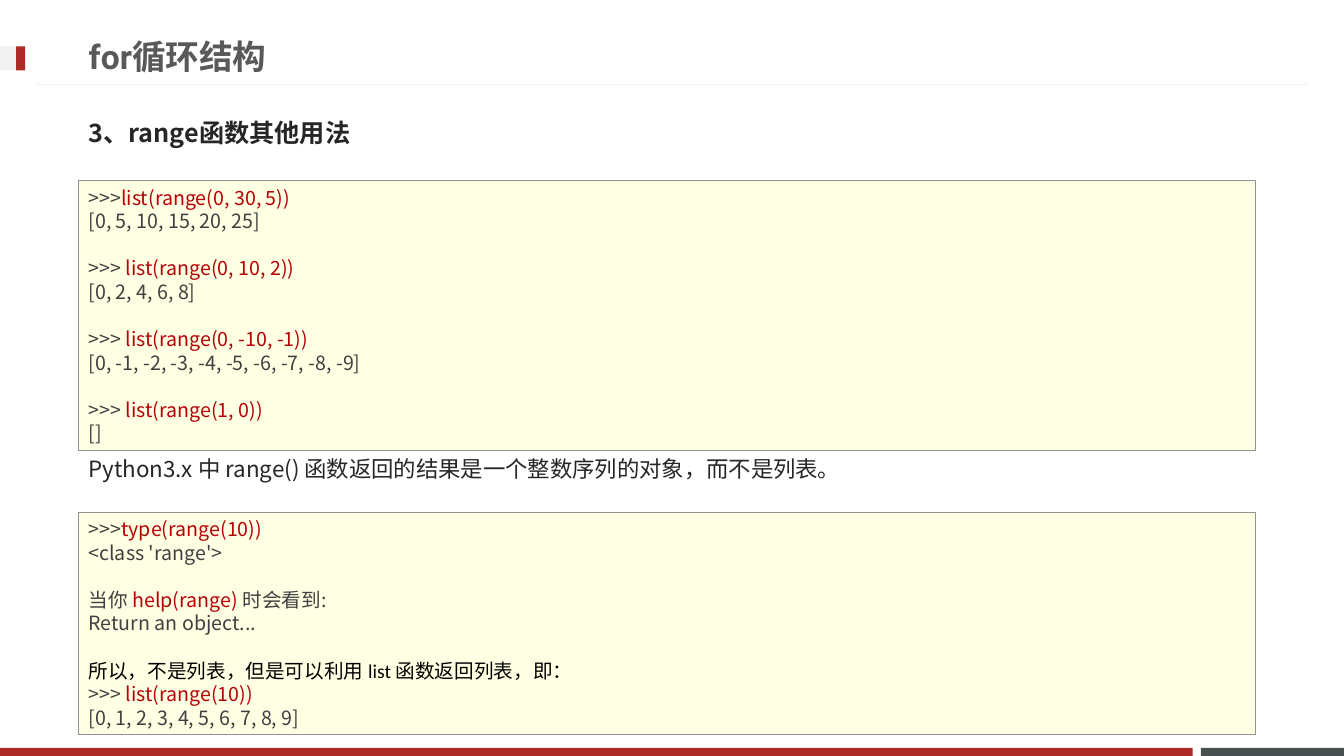
from lxml import etree
from pptx import Presentation
from pptx.dml.color import RGBColor
from pptx.enum.shapes import MSO_CONNECTOR, MSO_SHAPE
from pptx.enum.text import MSO_ANCHOR, PP_ALIGN
from pptx.oxml.ns import qn
from pptx.util import Inches, Pt

RECT = MSO_SHAPE.RECTANGLE
STRAIGHT = MSO_CONNECTOR.STRAIGHT
MIDDLE, TOP = MSO_ANCHOR.MIDDLE, MSO_ANCHOR.TOP
LEFT = PP_ALIGN.LEFT

COLOURS = {
    "red": "AD2B26", "slate": "49504F", "pale": "F2F2F2",
    "title": "595959", "body": "262626", "plain": "404040",
    "code": "B60206", "black": "000000",
    "panel": "FFFFE4", "border": "919191",
}
CJK, LATIN, NOTE = "Noto Sans CJK JP", "Roboto", "Calibri"

TITLE = "for循环结构"
HEADING = "3、range函数其他用法"
REMARK = "Python3.x 中 range() 函数返回的结果是一个整数序列的对象，而不是列表。"

# Each panel is a list of blocks, each block a list of lines,
# each line a list of (text, colour).
RANGE_CALLS = [
    [[(">>>", "plain"), ("list(range(0, 30, 5))", "code")],
     [("[0, 5, 10, 15, 20, 25]", "plain")]],
    [[(">>> ", "plain"), ("list(range(0, 10, 2))", "code")],
     [("[0, 2, 4, 6, 8]", "plain")]],
    [[(">>> ", "plain"), ("list(range(0, -10, -1))", "code")],
     [("[0, -1, -2, -3, -4, -5, -6, -7, -8, -9]", "plain")]],
    [[(">>> ", "plain"), ("list(range(1, 0))", "code")],
     [("[]", "plain")]],
]
RANGE_TYPE = [
    [[(">>>", "plain"), ("type(range(10))", "code")],
     [("<class 'range'>", "plain")]],
    [[("当你 ", "plain"), ("help(range) ", "code"), ("时会看到:", "plain")],
     [("Return an object...", "plain")]],
    [[("所以，不是列表，但是可以利用 list 函数返回列表，即：", "black")],
     [(">>> ", "plain"), ("list(range(10))", "code")],
     [("[0, 1, 2, 3, 4, 5, 6, 7, 8, 9]", "plain")]],
]

WIDTH, HEIGHT = 13.33, 7.5
MARGIN = 0.78
PANEL_WIDTH = 11.67
LINE_PITCH = 16.85  # points
INSET = 0.05
FOOTER_HEIGHT = 0.08
FOOTER_TOP = HEIGHT - FOOTER_HEIGHT


def colour(name):
    return RGBColor.from_string(COLOURS[name])


def add_span(para, text, size, name, font=CJK, bold=False):
    span = para.add_run()
    span.text = text
    span.font.size = Pt(size)
    span.font.bold = bold
    span.font.name = font
    span.font.color.rgb = colour(name)
    east_asian = etree.SubElement(span.font._element, qn("a:ea"))
    east_asian.set("typeface", CJK)


def prepare_frame(box, anchor):
    frame = box.text_frame
    frame.word_wrap = True
    frame.vertical_anchor = anchor
    frame.margin_top = frame.margin_bottom = Inches(INSET)
    frame.margin_left = frame.margin_right = Inches(0.1)
    frame.paragraphs[0].alignment = LEFT
    return frame


def add_bar(page, left, top, width, height, fill, border=None):
    bar = page.shapes.add_shape(
        RECT, Inches(left), Inches(top), Inches(width), Inches(height))
    bar.shadow.inherit = False
    bar.fill.solid()
    bar.fill.fore_color.rgb = colour(fill)
    if border:
        bar.line.color.rgb = colour(border)
        bar.line.width = Pt(0.25)
    else:
        bar.line.fill.background()
    return bar


def add_label(page, top, height, text, size, bold=False):
    box = page.shapes.add_textbox(
        Inches(MARGIN), Inches(top), Inches(11.76), Inches(height))
    para = prepare_frame(box, MIDDLE).paragraphs[0]
    add_span(para, text, size, "body", bold=bold)


def add_panel(page, top, blocks):
    """Draw a code panel, with one empty line's space between blocks."""
    rows = sum(len(block) for block in blocks) + len(blocks) - 1
    height = rows * LINE_PITCH / 72 + 2 * INSET
    panel = add_bar(page, MARGIN, top, PANEL_WIDTH, height, "panel", "border")
    frame = prepare_frame(panel, TOP)
    for block_index, block in enumerate(blocks):
        for line_index, line in enumerate(block):
            first = block_index == line_index == 0
            para = frame.paragraphs[0] if first else frame.add_paragraph()
            para.alignment = LEFT
            para.line_spacing = Pt(LINE_PITCH)
            if block_index and line_index == 0:
                para.space_before = Pt(LINE_PITCH)
            for text, name in line:
                font = NOTE if name == "black" else CJK
                add_span(para, text, 14, name, font)


def add_decoration(page):
    add_bar(page, 11.91, FOOTER_TOP, WIDTH - 11.91, FOOTER_HEIGHT, "slate")
    add_bar(page, 0, FOOTER_TOP, 11.83, FOOTER_HEIGHT, "red")
    rule = page.shapes.add_connector(
        STRAIGHT, Inches(WIDTH - 0.35), Inches(0.84), Inches(0.35), Inches(0.84))
    rule.line.color.rgb = colour("pale")
    rule.line.width = Pt(0.75)
    etree.SubElement(rule._element.spPr, qn("a:effectLst"))
    add_bar(page, 0, 0.46, 0.25, 0.24, "pale")
    add_bar(page, 0.16, 0.46, 0.09, 0.24, "red")


def main():
    deck = Presentation()
    deck.slide_width, deck.slide_height = Inches(WIDTH), Inches(HEIGHT)
    page = deck.slides.add_slide(deck.slide_layouts[5])
    add_decoration(page)

    title = page.shapes.title
    title.left, title.top = Inches(MARGIN), Inches(0.27)
    title.width, title.height = Inches(9.59), Inches(0.57)
    title_para = prepare_frame(title, MIDDLE).paragraphs[0]
    add_span(title_para, TITLE, 24, "title", LATIN, bold=True)

    add_label(page, 1.03, 0.57, HEADING, 18, bold=True)
    add_label(page, 4.42, 0.46, REMARK, 16)
    add_panel(page, 1.79, RANGE_CALLS)
    add_panel(page, 5.08, RANGE_TYPE)
    deck.save("out.pptx")


if __name__ == "__main__":
    main()
